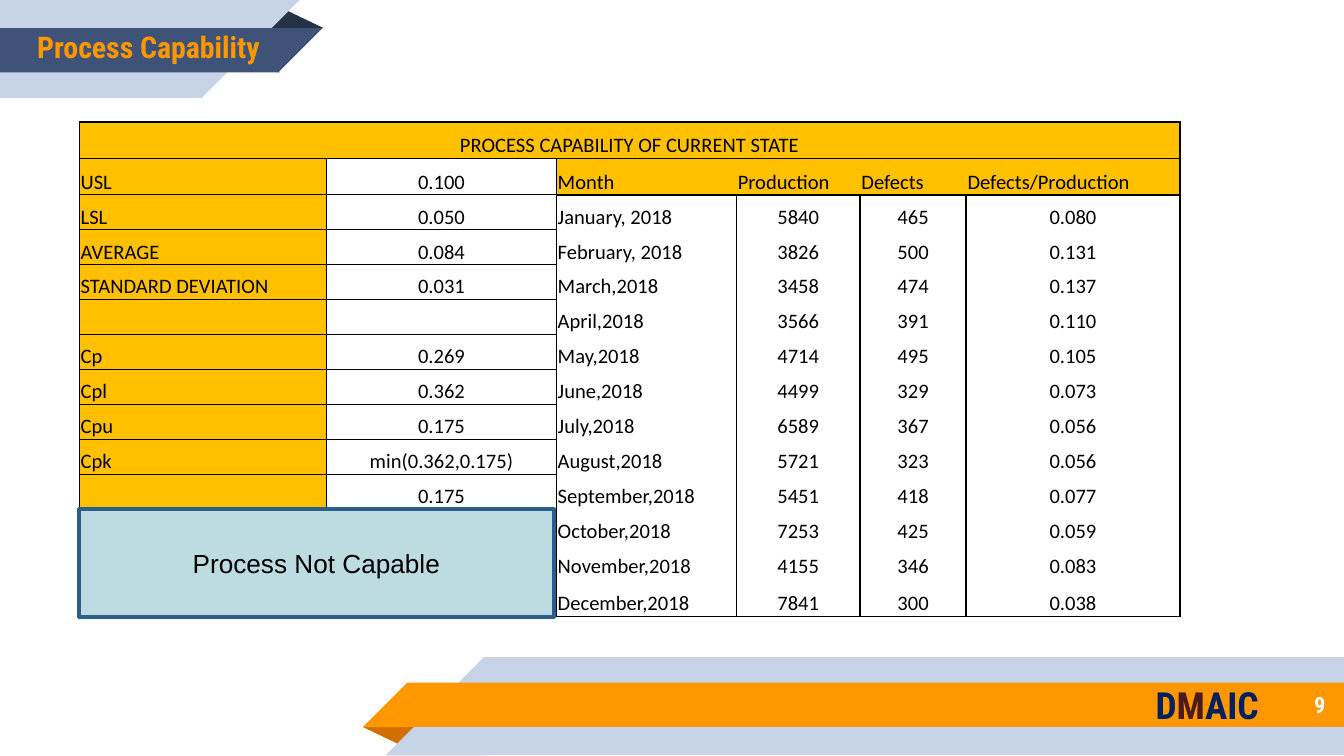
import lxml.etree
import pptx
import pptx.dml.color
import pptx.enum.shapes
import pptx.enum.text
import pptx.oxml.ns
import pptx.util

Inches, Pt = pptx.util.Inches, pptx.util.Pt
RGBColor = pptx.dml.color.RGBColor
SHAPE = pptx.enum.shapes.MSO_SHAPE
ALIGN = pptx.enum.text.PP_ALIGN
MIDDLE = pptx.enum.text.MSO_ANCHOR.MIDDLE
qn = pptx.oxml.ns.qn

PALE_BLUE = RGBColor(0xC7, 0xD3, 0xE6)
SLATE = RGBColor(0x3F, 0x53, 0x78)
DARK_SLATE = RGBColor(0x26, 0x32, 0x48)
ORANGE = RGBColor(0xFF, 0x98, 0x00)
DARK_ORANGE = RGBColor(0xD2, 0x6F, 0x00)
AMBER = RGBColor(0xFF, 0xC0, 0x00)
NAVY = RGBColor(0x00, 0x20, 0x60)
MAROON = RGBColor(0x4B, 0x1A, 0x1A)
TEAL = RGBColor(0xBC, 0xDC, 0xE1)
STEEL = RGBColor(0x2B, 0x5F, 0x8A)
WHITE = RGBColor(0xFF, 0xFF, 0xFF)
BLACK = RGBColor(0x00, 0x00, 0x00)
HEADING_FONT = "Roboto Condensed"


def style_span(span, font, size, color, bold=False):
    span.font.name = font
    span.font.size = Pt(size)
    span.font.color.rgb = color
    span.font.bold = bold


def set_borders(cell, widths):
    """Draw black cell borders; widths maps L, R, T or B to points."""
    properties = cell._tc.get_or_add_tcPr()
    for side in "LRTB":
        if side in widths:
            line = lxml.etree.SubElement(properties, qn(f"a:ln{side}"), w=str(Pt(widths[side])))
            fill = lxml.etree.SubElement(line, qn("a:solidFill"))
            lxml.etree.SubElement(fill, qn("a:srgbClr"), val=str(BLACK))


deck = pptx.Presentation()
deck.slide_width = Inches(10)
deck.slide_height = deck.slide_width * 9 // 16
page = deck.slides.add_slide(deck.slide_layouts[6])

# Ribbons: bottom right, then top left
ribbon_parts = [
    (SHAPE.ISOSCELES_TRIANGLE, 2.7, 5.41, 0.43, 0.14, 180, DARK_ORANGE),
    (SHAPE.RECTANGLE, 3.6, 4.89, 6.4, 0.73, 0, PALE_BLUE),
    (SHAPE.RIGHT_TRIANGLE, 2.87, 4.89, 0.73, 0.73, 270, PALE_BLUE),
    (SHAPE.RECTANGLE, 3.03, 5.08, 6.97, 0.33, 0, ORANGE),
    (SHAPE.RIGHT_TRIANGLE, 2.7, 5.08, 0.33, 0.33, 270, ORANGE),
    (SHAPE.ISOSCELES_TRIANGLE, 1.98, 0.07, 0.43, 0.14, 0, DARK_SLATE),
    (SHAPE.RECTANGLE, 0, 0, 1.51, 0.73, 0, PALE_BLUE),
    (SHAPE.RIGHT_TRIANGLE, 1.5, 0, 0.73, 0.73, 90, PALE_BLUE),
    (SHAPE.RECTANGLE, 0, 0.21, 2.08, 0.33, 0, SLATE),
    (SHAPE.RIGHT_TRIANGLE, 2.07, 0.21, 0.33, 0.33, 90, SLATE),
]
for kind, left, top, width, height, rotation, color in ribbon_parts:
    part = page.shapes.add_shape(kind, Inches(left), Inches(top), Inches(width), Inches(height))
    part.shadow.inherit = False
    part.rotation = rotation
    part.fill.solid()
    part.fill.fore_color.rgb = color
    part.line.fill.background()
    if kind == SHAPE.ISOSCELES_TRIANGLE:
        part.adjustments[0] = 0.32

# Title, page number and the DMAIC label
labels = [
    (-0.1, 0.15, 2.41, 0.4, ALIGN.CENTER, 16, [("Process Capability", ORANGE)]),
    (8.33, 5.07, 1.63, 0.35, ALIGN.RIGHT, 12, [("9", WHITE)]),
    (8.5, 5.07, 1, 0.35, ALIGN.LEFT, 20, [("D", NAVY), ("M", MAROON), ("AIC", NAVY)]),
]
for left, top, width, height, alignment, size, spans in labels:
    box = page.shapes.add_textbox(Inches(left), Inches(top), Inches(width), Inches(height))
    frame = box.text_frame
    frame.word_wrap = True
    frame.vertical_anchor = MIDDLE
    frame.margin_left = frame.margin_right = Inches(0.1)
    frame.margin_top = frame.margin_bottom = Inches(0.1)
    para = frame.paragraphs[0]
    para.alignment = alignment
    for text, color in spans:
        span = para.add_run()
        span.text = text
        style_span(span, HEADING_FONT, size, color, bold=True)

# Capability table
rows = [
    ("PROCESS CAPABILITY OF CURRENT STATE", "", "", "", "", ""),
    ("USL", "0.100", "Month", "Production", "Defects", "Defects/Production"),
    ("LSL", "0.050", "January, 2018", "5840", "465", "0.080"),
    ("AVERAGE", "0.084", "February, 2018", "3826", "500", "0.131"),
    ("STANDARD DEVIATION", "0.031", "March,2018", "3458", "474", "0.137"),
    ("", "", "April,2018", "3566", "391", "0.110"),
    ("Cp", "0.269", "May,2018", "4714", "495", "0.105"),
    ("Cpl", "0.362", "June,2018", "4499", "329", "0.073"),
    ("Cpu", "0.175", "July,2018", "6589", "367", "0.056"),
    ("Cpk", "min(0.362,0.175)", "August,2018", "5721", "323", "0.056"),
    ("", "0.175", "September,2018", "5451", "418", "0.077"),
    ("", "", "October,2018", "7253", "425", "0.059"),
    ("", "", "November,2018", "4155", "346", "0.083"),
    ("", "", "December,2018", "7841", "300", "0.038"),
]
column_widths = [1.84, 1.71, 1.34, 0.92, 0.79, 1.59]
LAST_ROW, LAST_COLUMN = len(rows) - 1, len(column_widths) - 1
LAST_METRIC_ROW = 10

table = page.shapes.add_table(
    len(rows), len(column_widths), Inches(0.59), Inches(0.91), Inches(8.19), Inches(3.69)
).table
table.first_row = table.horz_banding = False
# "No Style, No Grid"
table._tbl.tblPr.find(qn("a:tableStyleId")).text = "{2D5ABB26-0587-4C30-8999-92F81FD0307C}"
for column, width in zip(table.columns, column_widths):
    column.width = Inches(width)

for r, values in enumerate(rows):
    table.rows[r].height = Inches(0.27 if r < 2 else 0.28 if r == LAST_ROW else 0.26)
    for c, value in enumerate(values):
        cell = table.cell(r, c)
        cell.vertical_anchor = pptx.enum.text.MSO_ANCHOR.BOTTOM
        cell.margin_left = cell.margin_right = cell.margin_top = Inches(0.01)
        cell.margin_bottom = 0

        is_metric = c < 2 and 1 <= r <= LAST_METRIC_ROW
        if r == 0:
            borders = {"L": 1, "R": 1, "T": 1, "B": 0.5}
        elif is_metric:
            borders = {side: 0.5 for side in "LRTB"}
        elif c < 2:
            borders = {"L" if c == 0 else "R": 1}
        elif r == 1:
            borders = {"T": 1, "B": 1}
            if c == LAST_COLUMN:
                borders["R"] = 1
        else:
            borders = {"L": 0.5 if c == 2 and r <= LAST_METRIC_ROW else 1, "R": 1}
        if r == LAST_ROW:
            borders["B"] = 1
        set_borders(cell, borders)

        if r < 2 and c != 1 or is_metric and c == 0:
            cell.fill.solid()
            cell.fill.fore_color.rgb = AMBER
        else:
            cell.fill.background()

        para = cell.text_frame.paragraphs[0]
        if value:
            para.text = value
            is_left = c in (0, 2) or r == 1 and c > 2
            para.alignment = ALIGN.LEFT if is_left and r > 0 else ALIGN.CENTER
            style_span(para.runs[0], "Calibri", 11, BLACK)
        else:
            # Keeps empty cells from stretching their row
            para._p.get_or_add_endParaRPr().set("sz", "1100")
table.cell(0, 0).merge(table.cell(0, LAST_COLUMN))

# Verdict
verdict = page.shapes.add_shape(
    SHAPE.RECTANGLE, Inches(0.59), Inches(3.79), Inches(3.53), Inches(0.8)
)
verdict.shadow.inherit = False
verdict.fill.solid()
verdict.fill.fore_color.rgb = TEAL
verdict.line.color.rgb = STEEL
verdict.line.width = Pt(2)
verdict.text_frame.text = "Process Not Capable"
verdict.text_frame.vertical_anchor = MIDDLE
para = verdict.text_frame.paragraphs[0]
para.alignment = ALIGN.CENTER
style_span(para.runs[0], "Arial", 14, BLACK)

deck.save("out.pptx")
